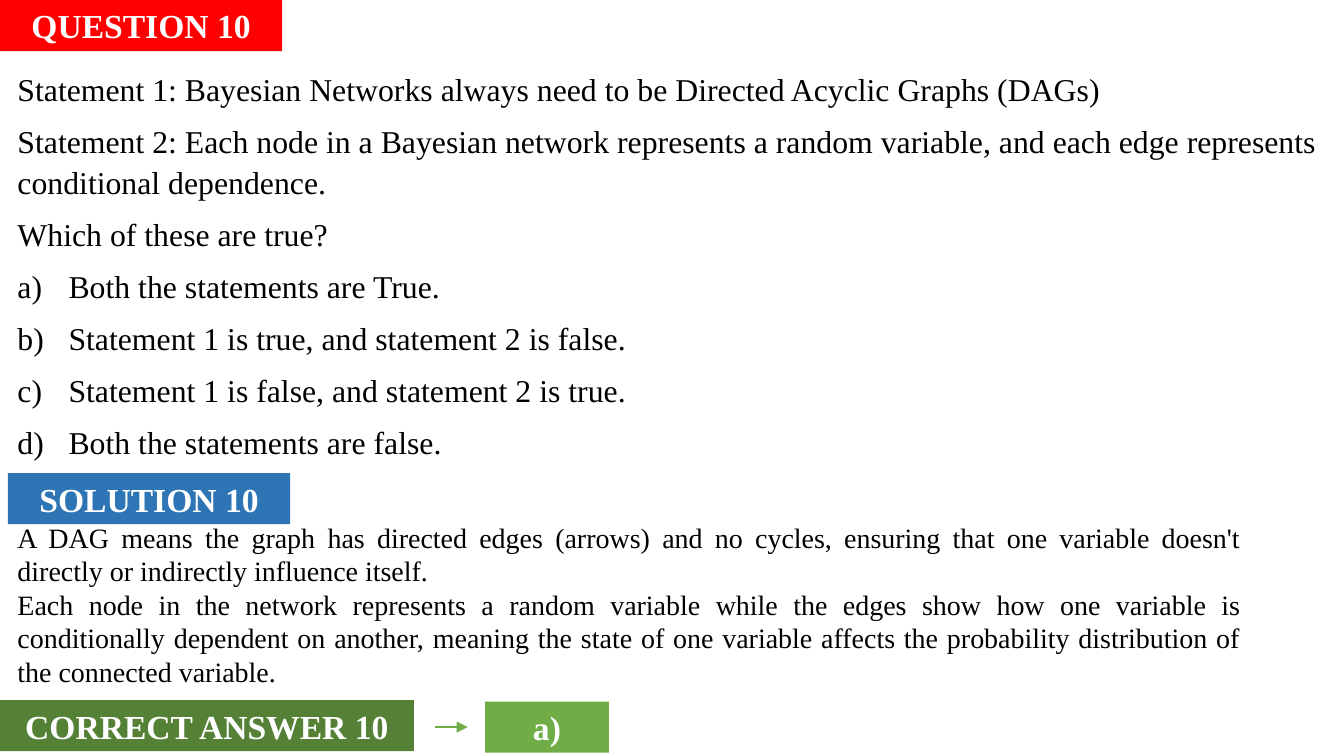
import lxml.etree
import pptx
import pptx.dml.color
import pptx.enum.shapes
import pptx.enum.text
import pptx.oxml
import pptx.oxml.ns
import pptx.util

Inches = pptx.util.Inches
ALIGN = pptx.enum.text.PP_ALIGN
ANCHOR = pptx.enum.text.MSO_ANCHOR
KIND = pptx.enum.shapes.MSO_SHAPE
FACE = "Times New Roman"
WIDTH = 10
HEIGHT = WIDTH * 9 / 16
FRAME = {
    "margin_left": Inches(0.07), "margin_right": Inches(0.07),
    "margin_top": Inches(0.04), "margin_bottom": Inches(0.04),
    "word_wrap": True, "auto_size": pptx.enum.text.MSO_AUTO_SIZE.NONE,
}
STATES = [
    "Statement 1: Bayesian Networks always need to be Directed Acyclic Graphs (DAGs)",
    "Statement 2: Each node in a Bayesian network represents a random variable, "
    "and each edge represents conditional dependence.",
    "Which of these are true?",
]
CHOICES = [
    "Both the statements are True.",
    "Statement 1 is true, and statement 2 is false.",
    "Statement 1 is false, and statement 2 is true.",
    "Both the statements are false.",
]
REASONS = [
    "A DAG means the graph has directed edges (arrows) and no cycles, ensuring "
    "that one variable doesn't directly or indirectly influence itself.",
    "Each node in the network represents a random variable while the edges show "
    "how one variable is conditionally dependent on another, meaning the state of "
    "one variable affects the probability distribution of the connected variable.",
]


def color(code):
    """Return the colour for a hex string."""
    return pptx.dml.color.RGBColor.from_string(code)


def apply(item, values):
    """Set each named value on the item."""
    for name, value in values.items():
        setattr(item, name, value)


def place(shape, box):
    """Move a shape to a box given in inches."""
    apply(shape, dict(zip(("left", "top", "width", "height"), map(Inches, box))))


def write(shape, lines, size, tint, bold, anchor, form):
    """Fill a shape with one formatted paragraph per line."""
    frame = shape.text_frame
    apply(frame, {**FRAME, "vertical_anchor": anchor})
    frame.text = "\n".join(lines)
    for para in frame.paragraphs:
        apply(para, form)
        for run in para.runs:
            apply(run.font, {"name": FACE, "size": pptx.util.Pt(size), "bold": bold})
            run.font.color.rgb = color(tint)
    frame.paragraphs[0].space_before = pptx.util.Pt(0)


def mark(para, letter):
    """Give a paragraph a letter mark, or no mark at all."""
    props = para._p.get_or_add_pPr()
    indent = Inches(0.38) if letter else 0
    props.set("marL", str(indent))
    props.set("indent", str(-indent))
    parts = ['<a:buNone %s/>']
    if letter:
        parts = [
            '<a:buClr %s><a:srgbClr val="000000"/></a:buClr>',
            f'<a:buFont %s typeface="{FACE}"/>',
            '<a:buAutoNum %s type="alphaLcParenR"/>',
        ]
    for part in parts:
        props.append(pptx.oxml.parse_xml(part % pptx.oxml.ns.nsdecls("a")))


def label(shape, box, text, tint):
    """Turn a shape into a solid label with bold white text."""
    place(shape, box)
    shape.fill.solid()
    shape.fill.fore_color.rgb = color(tint)
    shape.line.fill.background()
    write(shape, [text], 18, "FFFFFF", True, ANCHOR.TOP, {"alignment": ALIGN.CENTER})


def block(slide, box, text, tint):
    """Add a label on a new rectangle."""
    shape = slide.shapes.add_shape(KIND.RECTANGLE, *map(Inches, box))
    shape.shadow.inherit = False
    label(shape, box, text, tint)


def question(slide, box):
    """Place the question label with its statements and choices."""
    left, top, width, height = box
    label(slide.shapes.title, (left, top, 2.1, 0.38), "QUESTION 10", "FF0000")
    body = slide.placeholders[1]
    place(body, (left + 0.06, top + 0.46, width - 0.13, height - 0.46))
    form = {"line_spacing": 1.07, "space_before": pptx.util.Pt(6), "alignment": ALIGN.LEFT}
    write(body, STATES + CHOICES, 17, "000000", False, ANCHOR.TOP, form)
    for index, para in enumerate(body.text_frame.paragraphs):
        mark(para, index >= len(STATES))


def solution(slide, box):
    """Place the solution label and the reasons below it."""
    left, top, width, height = box
    block(slide, (left, top, 2.1, 0.38), "SOLUTION 10", "2E75B5")
    area = (left, top + 0.31, width, height - 0.31)
    text = slide.shapes.add_textbox(*map(Inches, area))
    write(text, REASONS, 15, "000000", False, ANCHOR.TOP, {"alignment": ALIGN.JUSTIFY})


def answer(slide, box):
    """Place the answer label, an arrow and the right choice."""
    left, top, width, height = box
    block(slide, (left, top, 3.08, height), "CORRECT ANSWER 10", "548135")
    block(slide, (left + width - 0.92, top + 0.01, 0.92, height), "a)", "70AD47")
    mid = top + 0.2
    ends = map(Inches, (left + 3.24, mid, left + 3.48, mid))
    arrow = slide.shapes.add_connector(pptx.enum.shapes.MSO_CONNECTOR.STRAIGHT, *ends)
    arrow.line.color.rgb = color("70AD47")
    arrow.line.width = pptx.util.Pt(1.5)
    tip = lxml.etree.SubElement(arrow.line._get_or_add_ln(), pptx.oxml.ns.qn("a:tailEnd"))
    tip.set("type", "triangle")
    lxml.etree.SubElement(arrow._element.spPr, pptx.oxml.ns.qn("a:effectLst"))


def main():
    """Build the slide and save it."""
    deck = pptx.Presentation()
    apply(deck, {"slide_width": Inches(WIDTH), "slide_height": Inches(HEIGHT)})
    slide = deck.slides.add_slide(deck.slide_layouts[1])
    question(slide, (0, 0, WIDTH, 3.4))
    solution(slide, (0.06, 3.52, 9.25, 1.65))
    answer(slide, (0, 5.21, 4.53, 0.38))
    deck.save("out.pptx")


if __name__ == "__main__":
    main()
